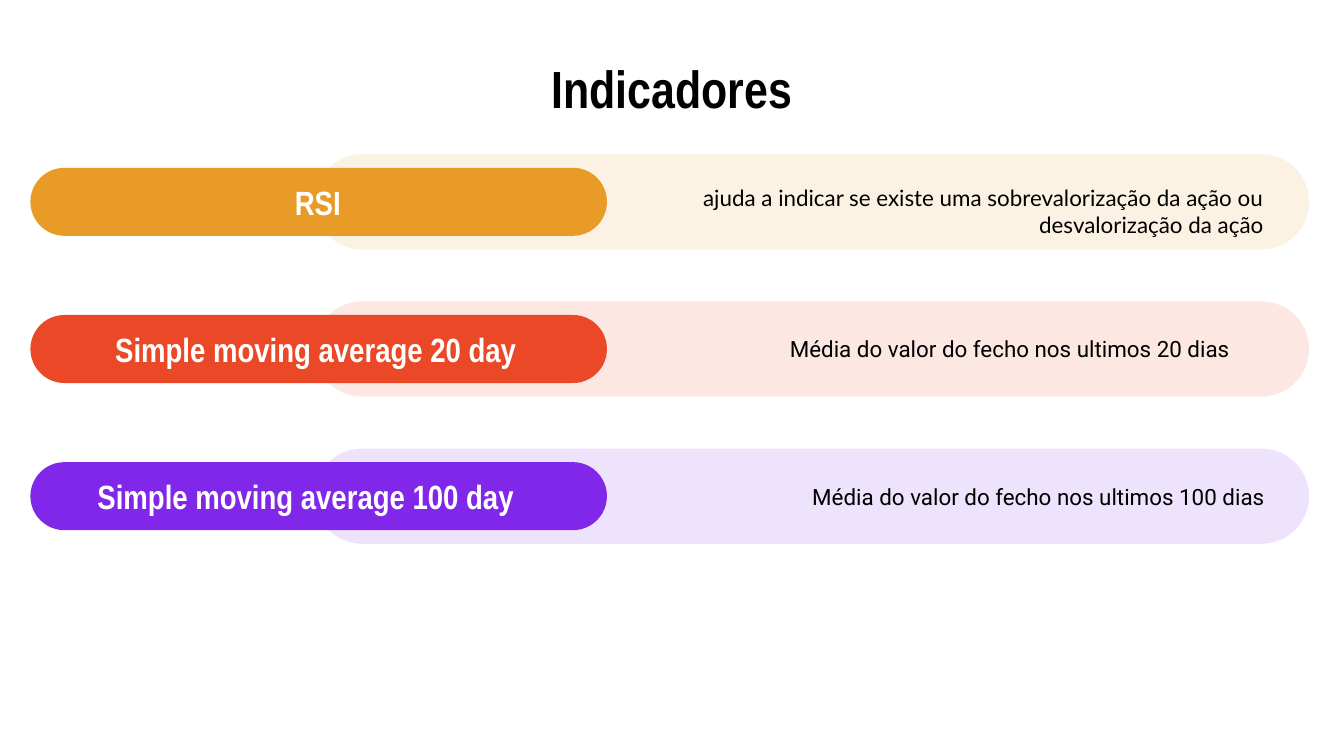
"""Builds a slide of three stock indicators, each a coloured pill with its description."""
from dataclasses import dataclass

from lxml.etree import SubElement
from pptx import Presentation
from pptx.dml.color import RGBColor
from pptx.enum.shapes import MSO_SHAPE as Shape
from pptx.enum.text import MSO_ANCHOR as Anchor, PP_ALIGN as Align
from pptx.oxml.ns import qn
from pptx.shapes.autoshape import Shape as AutoShape
from pptx.slide import Slide
from pptx.util import Inches, Pt

WIDTH = Inches(10)
HEIGHT = WIDTH * 9 // 16
BLACK = RGBColor(0x00, 0x00, 0x00)
WHITE = RGBColor(0xFF, 0xFF, 0xFF)
ORANGE = RGBColor(0xE9, 0x9B, 0x27)
RED = RGBColor(0xEA, 0x48, 0x27)
PURPLE = RGBColor(0x80, 0x27, 0xEA)
FIRST_ROW, ROW_PITCH = 20.4, 19.47
TINT = 13


@dataclass(frozen=True)
class Box:
    """Position and size in percent of the slide."""
    x: float
    y: float
    w: float
    h: float

    def emu(self) -> tuple[int, int, int, int]:
        """Return left, top, width and height in EMU."""
        return (int(WIDTH * self.x / 100), int(HEIGHT * self.y / 100),
                int(WIDTH * self.w / 100), int(HEIGHT * self.h / 100))


@dataclass(frozen=True)
class Style:
    """Look of a line of text."""
    font: str
    size: int
    color: RGBColor
    bold: bool
    align: Align


@dataclass(frozen=True)
class Indicator:
    """One row: texts, colour, description font and text spans (left, width)."""
    name: str
    detail: str
    color: RGBColor
    font: str
    name_span: tuple[float, float]
    detail_span: tuple[float, float]
    detail_drop: float = 3.1


TITLE = Style("Arial Narrow", 28, BLACK, True, Align.CENTER)
NAME = Style("Arial Narrow", 18, WHITE, True, Align.CENTER)

INDICATORS = (
    Indicator("RSI", "ajuda a indicar se existe uma sobrevalorização da ação ou desvalorização da ação",
              ORANGE, "Lato", (4, 39.3), (49.1, 45.9), 4.3),
    Indicator("Simple moving average 20 day", "Média do valor do fecho nos ultimos 20 dias",
              RED, "Roboto", (4.2, 38.6), (47.1, 45.4)),
    Indicator("Simple moving average 100 day", "Média do valor do fecho nos ultimos 100 dias",
              PURPLE, "Roboto", (2.8, 39.9), (47.4, 47.7)),
)


def add_pill(s: Slide, box: Box, color: RGBColor) -> AutoShape:
    """Add a fully rounded bar without outline."""
    sp = s.shapes.add_shape(Shape.ROUNDED_RECTANGLE, *box.emu())
    sp.adjustments[0] = 0.5
    sp.shadow.inherit = False
    sp.fill.solid()
    sp.fill.fore_color.rgb = color
    sp.line.fill.background()
    return sp


def set_opacity(sp: AutoShape, percent: int) -> None:
    """Make the solid fill of a shape translucent."""
    clr = sp.element.spPr.find(qn("a:solidFill")).find(qn("a:srgbClr"))
    SubElement(clr, qn("a:alpha"), val=str(percent * 1000))


def add_text(s: Slide, box: Box, text: str, style: Style) -> None:
    """Add a wrapped, vertically centred text box."""
    tf = s.shapes.add_textbox(*box.emu()).text_frame
    tf.word_wrap = True
    tf.vertical_anchor = Anchor.MIDDLE
    tf.margin_left = tf.margin_right = tf.margin_top = tf.margin_bottom = Inches(0.1)
    p = tf.paragraphs[0]
    p.alignment = style.align
    r = p.add_run()
    r.text = text
    r.font.name = style.font
    r.font.size = Pt(style.size)
    r.font.bold = style.bold
    r.font.color.rgb = style.color


def add_indicator(s: Slide, row: int, item: Indicator) -> None:
    """Draw one indicator row."""
    top = FIRST_ROW + row * ROW_PITCH
    set_opacity(add_pill(s, Box(23.4, top, 74, 12.6), item.color), TINT)
    add_pill(s, Box(2.26, top + 1.8, 42.9, 9), item.color)
    x, w = item.detail_span
    detail = Style(item.font, 12, BLACK, False, Align.RIGHT)
    add_text(s, Box(x, top + item.detail_drop, w, 6.4), item.detail, detail)
    x, w = item.name_span
    add_text(s, Box(x, top + 3.1, w, 6.4), item.name, NAME)


def main() -> None:
    """Build and save the slide."""
    prs = Presentation()
    prs.slide_width, prs.slide_height = WIDTH, HEIGHT
    s = prs.slides.add_slide(prs.slide_layouts[6])
    add_text(s, Box(5, 8, 90, 7.3), "Indicadores", TITLE)
    for row, item in enumerate(INDICATORS):
        add_indicator(s, row, item)
    prs.save("out.pptx")


if __name__ == "__main__":
    main()
